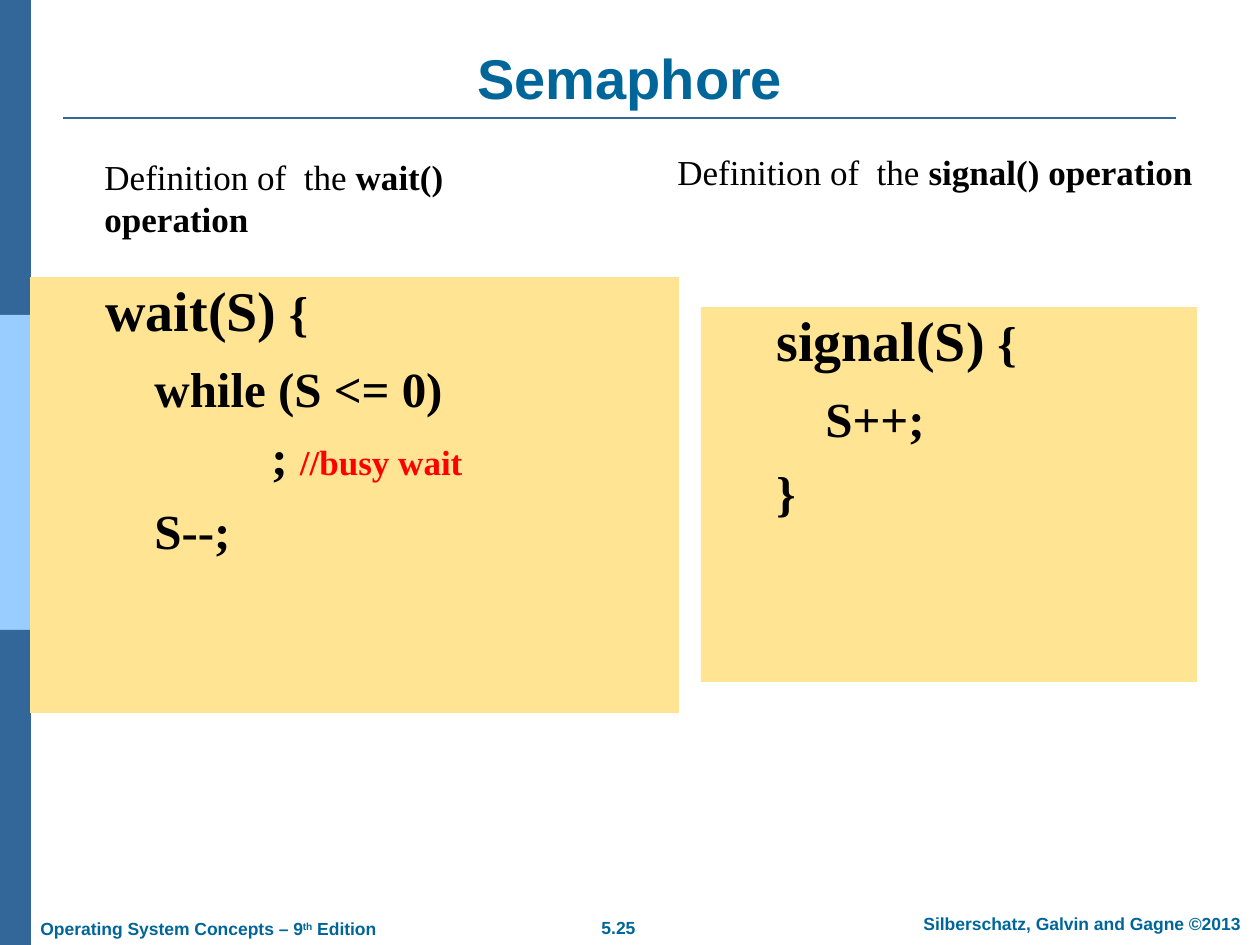
from pptx import Presentation
from pptx.dml.color import RGBColor
from pptx.enum.shapes import MSO_CONNECTOR, MSO_SHAPE
from pptx.enum.text import MSO_ANCHOR, PP_ALIGN
from pptx.oxml.ns import qn
from pptx.util import Emu, Pt
from lxml import etree

SCALE = 914400 // 126
WIDTH, HEIGHT = 1260, 945
BAR_WIDTH, BAR_HEIGHT = 31, HEIGHT // 3

NAVY = RGBColor(0x33, 0x66, 0x99)
SKY = RGBColor(0x99, 0xCC, 0xFF)
TEAL = RGBColor(0x00, 0x66, 0x99)
SAND = RGBColor(0xFF, 0xE5, 0x93)
BLACK = RGBColor(0, 0, 0)
RED = RGBColor(0xFF, 0, 0)
SANS, SERIF = "Arial", "Times New Roman"
CODE_INDENT, BODY_INDENT, NESTED_INDENT = 63, 112, 229


def px(value):
    return Emu(value * SCALE)


def add_span(paragraph, text, size, font=SERIF, color=BLACK, bold=True):
    span = paragraph.add_run()
    span.text = text
    span.font.size = Pt(size)
    span.font.name = font
    span.font.color.rgb = color
    span.font.bold = bold
    return span


def add_block(page, left, top, width, height, color):
    block = page.shapes.add_shape(
        MSO_SHAPE.RECTANGLE, px(left), px(top), px(width), px(height))
    block.shadow.inherit = False
    block.fill.solid()
    block.fill.fore_color.rgb = color
    block.line.fill.background()
    return block


def add_rule(page, left, right, y):
    rule = page.shapes.add_connector(
        MSO_CONNECTOR.STRAIGHT, px(left), px(y), px(right), px(y))
    rule.line.color.rgb = NAVY
    rule.line.width = Pt(1.5)
    etree.SubElement(rule._element.spPr, qn("a:effectLst"))


def add_text(page, left, top, width, height, align=PP_ALIGN.LEFT, wrap=True):
    box = page.shapes.add_textbox(px(left), px(top), px(width), px(height))
    box.text_frame.word_wrap = wrap
    paragraph = box.text_frame.paragraphs[0]
    paragraph.alignment = align
    return box, paragraph


def add_title(page, text):
    box, paragraph = add_text(page, 63, 38, 1134, 79, PP_ALIGN.CENTER)
    box.text_frame.vertical_anchor = MSO_ANCHOR.BOTTOM
    add_span(paragraph, text, 32, SANS, TEAL)


def add_footer(page, left, top, width, texts, align=PP_ALIGN.CENTER, wrap=True):
    box, paragraph = add_text(page, left, top, width, 34, align, wrap)
    paragraph.space_before = Pt(6.2)
    return [add_span(paragraph, text, 10, SANS, TEAL) for text in texts]


def add_definition(page, left, width, height, operation, line_spacing):
    box, paragraph = add_text(page, left, 149, width, height)
    paragraph.line_spacing = line_spacing
    add_span(paragraph, "Definition of  the ", 20, bold=False)
    add_span(paragraph, operation + " operation", 20)


def add_code(page, left, top, width, height, lines):
    frame = add_block(page, left, top, width, height, SAND).text_frame
    frame.word_wrap = True
    frame.vertical_anchor = MSO_ANCHOR.TOP
    for index, (indent, space, spans) in enumerate(lines):
        paragraph = frame.add_paragraph() if index else frame.paragraphs[0]
        paragraph.alignment = PP_ALIGN.LEFT
        paragraph.line_spacing = 0.9
        paragraph.space_before = Pt(space)
        paragraph._p.get_or_add_pPr().set("marL", str(px(indent)))
        for text, size, color in spans:
            add_span(paragraph, text, size, color=color)


def main():
    deck = Presentation()
    deck.slide_width, deck.slide_height = px(WIDTH), px(HEIGHT)
    page = deck.slides.add_slide(deck.slide_layouts[6])

    for index, color in enumerate((NAVY, SKY, NAVY)):
        add_block(page, 0, index * BAR_HEIGHT, BAR_WIDTH, BAR_HEIGHT, color)
    add_rule(page, 63, 1176, 118)
    add_title(page, "Semaphore")

    add_footer(page, 556, 911, 125, ["5.25"], wrap=False)
    add_footer(page, 895, 907, 374, ["Silberschatz, Galvin and Gagne ©2013"])
    edition = add_footer(
        page, 28, 912, 362, ["Operating System Concepts – 9", "th", " Edition"],
        PP_ALIGN.LEFT, wrap=False)
    edition[1].font._element.set("baseline", "30000")

    add_code(page, 30, 277, 649, 436, [
        (CODE_INDENT, 12.2, [("wait(S)", 32, BLACK), (" {", 28, BLACK)]),
        (BODY_INDENT, 12.2, [("while (S <= 0)", 28, BLACK)]),
        (NESTED_INDENT, 8.8, [("; ", 28, BLACK), ("//busy wait", 20, RED)]),
        (BODY_INDENT, 12.2, [("S--;", 28, BLACK)]),
    ])
    add_code(page, 701, 307, 496, 375, [
        (CODE_INDENT, 12.2, [("signal(S)", 32, BLACK), (" {", 28, BLACK)]),
        (BODY_INDENT, 12.2, [("S++;", 28, BLACK)]),
        (CODE_INDENT, 12.2, [("}", 28, BLACK)]),
    ])
    add_definition(page, 92, 501, 97, "wait()", 1.0)
    add_definition(page, 665, 630, 50, "signal()", 0.9)

    deck.save("out.pptx")


main()
